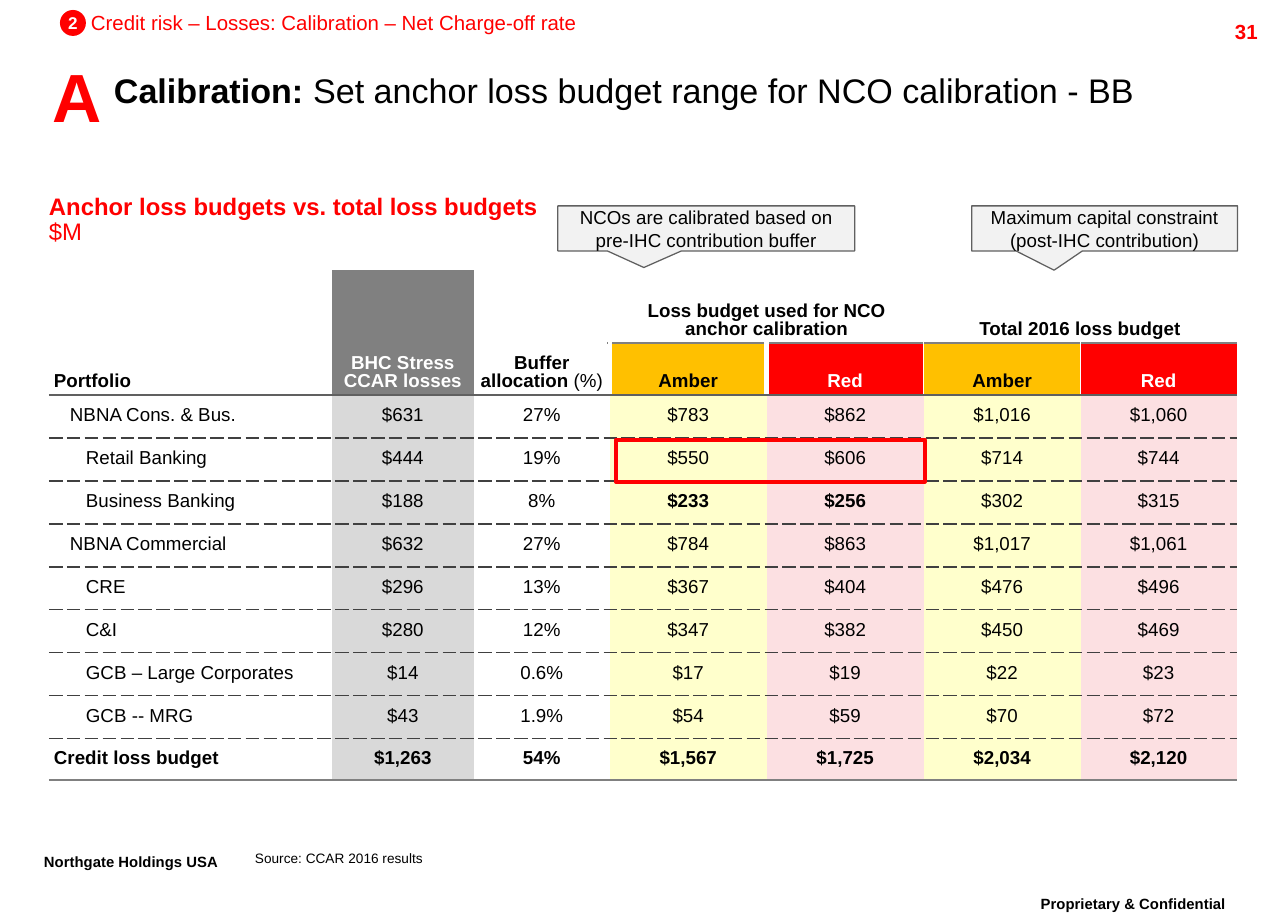
from pptx import Presentation, util as u
from pptx.dml.color import RGBColor
from pptx.enum import shapes, text
from pptx.oxml import parse_xml
from pptx.oxml.ns import nsdecls

# Content: a paragraph is a list of (words, bold) spans
COLORS = {"black": "000000", "white": "FFFFFF", "red": "FF0000", "amber": "FFC000",
          "pale_amber": "FFFFCC", "pale_red": "FCE0E2", "gray": "808080",
          "pale_gray": "D9D9D9", "callout": "F2F2F2", "rule": "606060", "dash": "404040"}

# words, left, top, width, height, size, color, align, anchor, line spacing, wrap
LABELS = [
    ([[("Credit risk – Losses: Calibration – Net Charge-off rate", False)]],
     91, 10, 490, 25, 12, "red", "LEFT", "TOP", 1, False),
    ([[("31", True)]], 1148, 19, 110, 25, 12, "red", "RIGHT", "TOP", 1, True),
    ([[("A", True)]], 40, 54, 75, 82, 40, "red", "CENTER", "TOP", 1, False),
    ([[("Calibration: ", True), ("Set anchor loss budget range for NCO calibration - BB", False)]],
     114, 60, 1096, 59, 20, "black", "LEFT", "MIDDLE", 1, True),
    ([[("Anchor loss budgets vs. total loss budgets", True)], [("$M", False)]],
     49, 196, 706, 50, 14, "red", "LEFT", "TOP", 0.86, True),
    ([[("Northgate Holdings USA", True)]],
     44, 846, 200, 32, 8.7, "black", "LEFT", "MIDDLE", 1, False),
    ([[("Source: CCAR 2016 results", False)]],
     255, 850, 169, 16, 8, "black", "LEFT", "TOP", 1, False),
    ([[("Proprietary & Confidential", True)]],
     1000, 888, 267, 32, 8.7, "black", "CENTER", "MIDDLE", 1, True),
]

# words, left, width, pointer x, pointer y
CALLOUTS = [
    ("NCOs are calibrated based on pre-IHC contribution buffer", 558, 297, -0.21, 0.87),
    ("Maximum capital constraint (post-IHC contribution)", 972, 266, -0.19, 0.93),
]

TOP_HEADS = {0: [("Portfolio", True)], 1: [("BHC Stress CCAR losses", True)],
             2: [("Buffer allocation ", True), ("(%)", False)],
             3: [("Loss budget used for NCO anchor calibration", True)],
             5: [("Total 2016 loss budget", True)]}

# indent level, then the cells
BUDGETS = [
    (1, "NBNA Cons. & Bus.", "$631", "27%", "$783", "$862", "$1,016", "$1,060"),
    (2, "Retail Banking", "$444", "19%", "$550", "$606", "$714", "$744"),
    (2, "Business Banking", "$188", "8%", "$233", "$256", "$302", "$315"),
    (1, "NBNA Commercial", "$632", "27%", "$784", "$863", "$1,017", "$1,061"),
    (2, "CRE", "$296", "13%", "$367", "$404", "$476", "$496"),
    (2, "C&I", "$280", "12%", "$347", "$382", "$450", "$469"),
    (2, "GCB – Large Corporates", "$14", "0.6%", "$17", "$19", "$22", "$23"),
    (2, "GCB -- MRG", "$43", "1.9%", "$54", "$59", "$70", "$72"),
    (0, "Credit loss budget", "$1,263", "54%", "$1,567", "$1,725", "$2,034", "$2,120"),
]
BOLD_CELLS = {(4, 3), (4, 4)}
COLUMN_WIDTHS = [283, 142, 136, 157, 157, 157, 156]
ROW_HEIGHTS = [73, 52] + [43] * 8 + [41]
COLUMN_FILLS = ["white", "pale_gray", "white"] + ["pale_amber", "pale_red"] * 2
LAST_ROW = len(ROW_HEIGHTS) - 1
TABLE_LEFT, TABLE_TOP = 49, 270
NO_STYLE = "{2D5ABB26-0587-4C30-8999-92F81FD0307C}"


def px(length):
    return u.Emu(round(length * 914400 / 122.7))


def rgb(name):
    return RGBColor.from_string(COLORS[name])


def write(frame, paragraphs, size, color, align="CENTER", spacing=1):
    frame.word_wrap = True
    for number, spans in enumerate(paragraphs):
        para = frame.add_paragraph() if number else frame.paragraphs[0]
        para.alignment = getattr(text.PP_ALIGN, align)
        para.line_spacing = spacing
        for words, bold in spans:
            span = para.add_run()
            span.text = words
            span.font.name, span.font.size, span.font.bold = "Arial", u.Pt(size), bold
            span.font.color.rgb = rgb(color)


def set_margins(holder, across, down):
    holder.margin_left = holder.margin_right = px(across)
    holder.margin_top = holder.margin_bottom = px(down)


def add_shape(page, kind, left, top, width, height, fill=None, line=None, weight=0.75):
    shape = page.shapes.add_shape(kind, px(left), px(top), px(width), px(height))
    shape.shadow.inherit = False
    for paint, color in ((shape.fill, fill), (shape.line.fill, line)):
        if color:
            paint.solid()
            paint.fore_color.rgb = rgb(color)
        else:
            paint.background()
    if line:
        shape.line.width = u.Pt(weight)
    shape.text_frame.vertical_anchor = text.MSO_ANCHOR.MIDDLE
    return shape


def rule_below(row, column):
    """Color, weight and dash of the rule under a cell."""
    if row == 0:
        return ("gray", 1, "solid") if column >= 3 else None
    if row == 1:
        return "rule", 1, "solid"
    return ("gray", 1.5, "solid") if row == LAST_ROW else ("dash", 1, "sysDash")


def add_border(cell, side, color, weight, dash):
    cell._tc.get_or_add_tcPr().append(parse_xml(
        f'<a:ln{side} {nsdecls("a")} w="{int(weight * 12700)}"><a:solidFill>'
        f'<a:srgbClr val="{COLORS[color]}"/></a:solidFill><a:prstDash val="{dash}"/></a:ln{side}>'))


def cell_content(row, column):
    """Spans, text color, fill and indent of a cell."""
    if row == 0:
        gray = column == 1
        return TOP_HEADS.get(column, []), "white" if gray else "black", "gray" if gray else "white", 0
    if row == 1:
        if column < 3:
            return [], "black", "gray" if column == 1 else "white", 0
        amber = column % 2
        return ([("Amber" if amber else "Red", True)], "black" if amber else "white",
                "amber" if amber else "red", 0)
    level, *values = BUDGETS[row - 2]
    bold = row == LAST_ROW or (row, column) in BOLD_CELLS
    return [(values[column], bold)], "black", COLUMN_FILLS[column], 0 if column else 16 * level


def add_budget_table(page):
    table = page.shapes.add_table(len(ROW_HEIGHTS), len(COLUMN_WIDTHS), px(TABLE_LEFT), px(TABLE_TOP),
                                  px(sum(COLUMN_WIDTHS)), px(sum(ROW_HEIGHTS))).table
    table.first_row = table.horz_banding = False
    table._tbl.tblPr[0].text = NO_STYLE
    for column, width in enumerate(COLUMN_WIDTHS):
        table.columns[column].width = px(width)
    for row, height in enumerate(ROW_HEIGHTS):
        table.rows[row].height = px(height)
        for column in range(len(COLUMN_WIDTHS)):
            cell = table.cell(row, column)
            spans, color, fill, indent = cell_content(row, column)
            if row == 1 and 3 <= column <= 5:
                add_border(cell, "L", "white", 3 if column == 3 else 1, "solid")
            above = rule_below(row - 1, column) if row else None
            for side, rule in (("T", above), ("B", rule_below(row, column))):
                if rule:
                    add_border(cell, side, *rule)
            cell.fill.solid()
            cell.fill.fore_color.rgb = rgb(fill)
            set_margins(cell, 5, 4)
            cell.margin_left = px(5 + indent)
            cell.vertical_anchor = text.MSO_ANCHOR.BOTTOM if row < 2 else text.MSO_ANCHOR.MIDDLE
            write(cell.text_frame, [spans], 11, color, "CENTER" if column else "LEFT", 0.86)
    for column in range(3):
        table.cell(0, column).merge(table.cell(1, column))
    for column in (3, 5):
        table.cell(0, column).merge(table.cell(0, column + 1))


def main():
    deck = Presentation()
    deck.slide_width, deck.slide_height = u.Inches(10.5), u.Inches(7.5)
    page = deck.slides.add_slide(deck.slide_layouts[6])

    # Headings and footers
    for words, left, top, width, height, size, color, align, anchor, spacing, wrap in LABELS:
        box = page.shapes.add_textbox(px(left), px(top), px(width), px(height))
        frame = box.text_frame
        set_margins(frame, 0, 0)
        frame.vertical_anchor = getattr(text.MSO_ANCHOR, anchor)
        write(frame, words, size, color, align, spacing)
        frame.word_wrap = wrap

    # Section number
    badge = add_shape(page, shapes.MSO_SHAPE.OVAL, 60, 10, 26, 26, "red")
    set_margins(badge.text_frame, 0, 0)
    write(badge.text_frame, [[("2", True)]], 10, "white")

    # Table with the highlighted Retail Banking budgets
    add_budget_table(page)
    add_shape(page, shapes.MSO_SHAPE.RECTANGLE, 616, 440, 309, 42, line="red", weight=2.25)

    # Callouts
    for words, left, width, *pointer in CALLOUTS:
        callout = add_shape(page, shapes.MSO_SHAPE.RECTANGULAR_CALLOUT, left, 206, width, 45,
                            "callout", "rule")
        callout.adjustments[0], callout.adjustments[1] = pointer
        set_margins(callout.text_frame, 10, 10)
        write(callout.text_frame, [[(words, False)]], 11, "black")

    deck.save("out.pptx")


if __name__ == "__main__":
    main()
